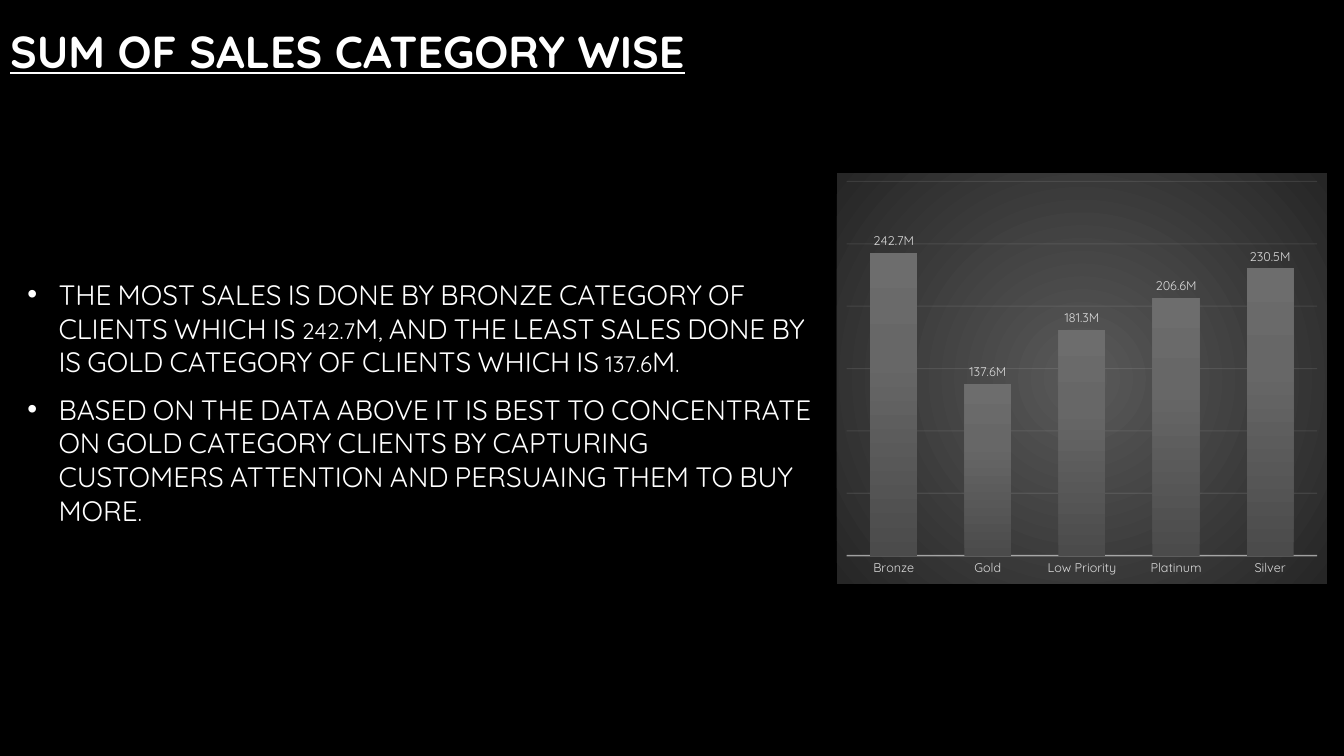
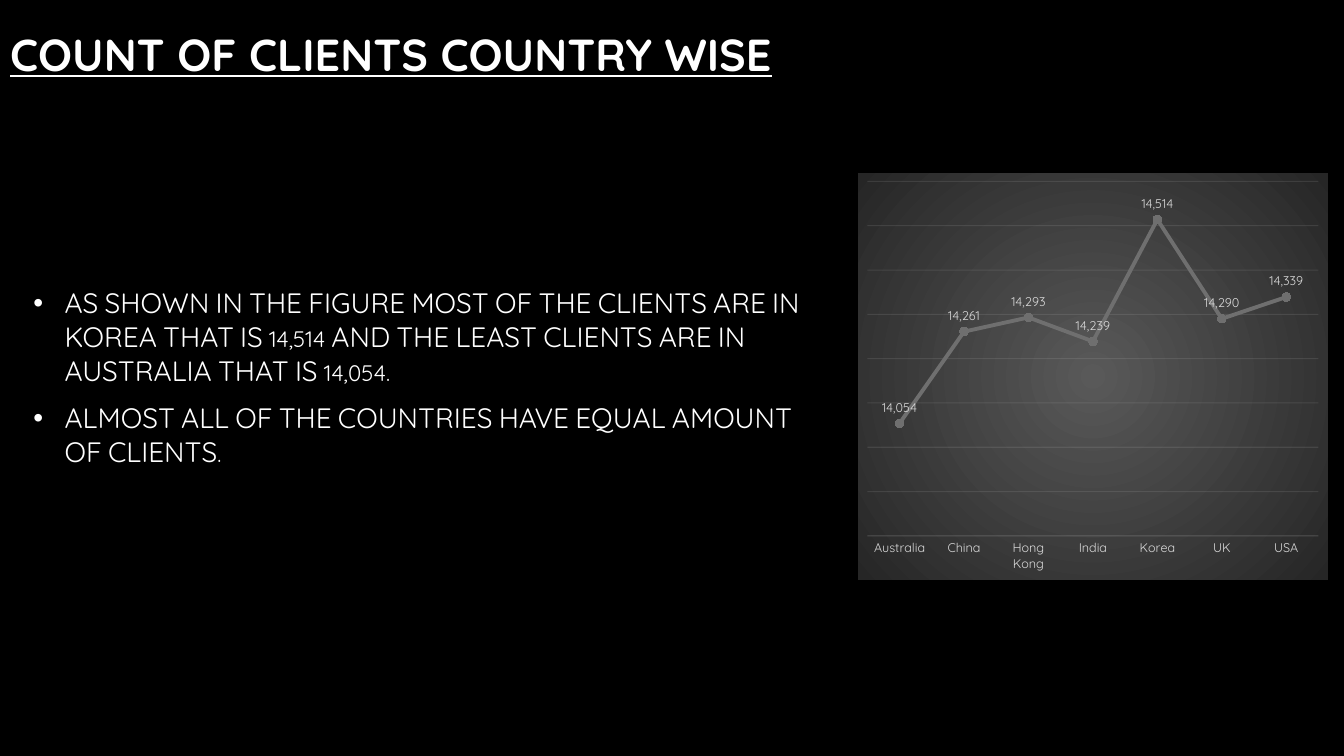
from lxml import etree
from pptx import Presentation
from pptx.chart.data import CategoryChartData
from pptx.dml.color import RGBColor
from pptx.enum.chart import XL_CHART_TYPE as ChartType
from pptx.enum.chart import XL_LABEL_POSITION as LabelPos
from pptx.enum.chart import XL_MARKER_STYLE as Marker
from pptx.enum.chart import XL_TICK_MARK as Tick
from pptx.enum.text import MSO_ANCHOR as Anchor
from pptx.enum.text import MSO_AUTO_SIZE as AutoSize
from pptx.enum.text import PP_ALIGN as Align
from pptx.oxml.ns import qn
from pptx.util import Inches, Pt

W, H = Inches(13.33), Inches(7.5)
FONT = "Quicksand"
BLACK = RGBColor(0x00, 0x00, 0x00)
WHITE = RGBColor(0xFF, 0xFF, 0xFF)
LABEL = RGBColor(0xD9, 0xD9, 0xD9)
GRID = RGBColor(0xF2, 0xF2, 0xF2)
LINE = RGBColor(0x6F, 0x6F, 0x6F)
DOT = RGBColor(0x67, 0x67, 0x67)
PANEL_STOPS = [(0, RGBColor(0x59, 0x59, 0x59)), (100, RGBColor(0x26, 0x26, 0x26))]
BAR_STOPS = [(0, RGBColor(0x4B, 0x4B, 0x4B)), (65, DOT), (100, RGBColor(0x6D, 0x6D, 0x6D))]


def box(left, top, width, height):
    return [int(share * full / 100) for share, full in zip((left, top, width, height), (W, H, W, H))]


def place(sp, area):
    sp.left, sp.top, sp.width, sp.height = area
    tf = sp.text_frame
    tf.word_wrap = True
    tf.auto_size = AutoSize.NONE
    tf.vertical_anchor = Anchor.MIDDLE
    return tf


def style_font(font, size, color, bold=None, underline=None):
    font.name, font.size = FONT, Pt(size)
    font.bold, font.underline = bold, underline
    font.color.rgb = color


def write(p, text, size, color=WHITE, small_caps=False, **style):
    p.alignment = Align.LEFT
    r = p.add_run()
    r.text = text
    style_font(r.font, size, color, **style)
    if small_caps:
        r.font._element.set("cap", "small")


def add_bullet(p, text):
    pPr = p._p.get_or_add_pPr()
    pPr.set("marL", str(Inches(0.31)))
    pPr.set("indent", str(-Inches(0.31)))
    p.space_before, p.space_after = Pt(4), Pt(6)
    etree.SubElement(etree.SubElement(pPr, qn("a:buClr")), qn("a:srgbClr"), val=str(WHITE))
    etree.SubElement(pPr, qn("a:buFont"), typeface="Arial")
    etree.SubElement(pPr, qn("a:buChar"), char="•")
    write(p, text, 20, small_caps=True)


def gradient(stops, angle=None):
    grad = etree.Element(qn("a:gradFill"), rotWithShape="1")
    stop_list = etree.SubElement(grad, qn("a:gsLst"))
    for pos, color in stops:
        gs = etree.SubElement(stop_list, qn("a:gs"), pos=str(pos * 1000))
        etree.SubElement(gs, qn("a:srgbClr"), val=str(color))
    if angle is None:
        circle = etree.SubElement(grad, qn("a:path"), path="circle")
        etree.SubElement(circle, qn("a:fillToRect"), dict.fromkeys("ltrb", "50000"))
    else:
        etree.SubElement(grad, qn("a:lin"), ang=str(angle * 60000), scaled="0")
    return grad


def style_line(line, color, width, alpha=100):
    line.color.rgb = color
    line.width = Pt(width)
    if alpha < 100:
        clr = line._get_or_add_ln().find(".//" + qn("a:srgbClr"))
        etree.SubElement(clr, qn("a:alpha"), val=str(alpha * 1000))


def fill_panel(chart):
    spPr = etree.Element(qn("c:spPr"))
    spPr.append(gradient(PANEL_STOPS))
    etree.SubElement(etree.SubElement(spPr, qn("a:ln")), qn("a:noFill"))
    chart._chartSpace.find(qn("c:txPr")).addprevious(spPr)


def style_axes(chart, low, high, step, axis_line):
    cat, val = chart.category_axis, chart.value_axis
    cat.major_tick_mark = cat.minor_tick_mark = Tick.NONE
    cat.has_major_gridlines = False
    style_font(cat.tick_labels.font, 9, LABEL)
    style_line(cat.format.line, GRID, *axis_line)
    val.minimum_scale, val.maximum_scale, val.major_unit = low, high, step
    val.has_major_gridlines = True
    style_line(val.major_gridlines.format.line, GRID, 0.75, 10)
    val.visible = False


def add_chart(s, kind, area, values, scale, axis_line, number_format, label_pos):
    data = CategoryChartData()
    data.categories = list(values)
    data.add_series("Series 1", list(values.values()))
    chart = s.shapes.add_chart(kind, *area, data).chart
    chart.has_legend = chart.has_title = False
    style_font(chart.font, 10, WHITE)
    fill_panel(chart)
    style_axes(chart, *scale, axis_line)
    plot = chart.plots[0]
    plot.vary_by_categories = False
    plot.has_data_labels = True
    labels = plot.data_labels
    labels.show_value = True
    labels.number_format, labels.number_format_is_linked = number_format, False
    labels.position = label_pos
    style_font(labels.font, 9, LABEL)
    return plot


def add_column_chart(s, area, values):
    plot = add_chart(s, ChartType.COLUMN_CLUSTERED, area, values, (0, 300000000, 50000000),
                     (1, 54), '0.0,,"M"', LabelPos.OUTSIDE_END)
    plot.gap_width, plot.overlap = 100, -24
    bars = plot.series[0]
    bars.format.fill.solid()
    solid = bars._element.find(qn("c:spPr")).find(qn("a:solidFill"))
    solid.getparent().replace(solid, gradient(BAR_STOPS, 270))


def add_line_chart(s, area, values):
    plot = add_chart(s, ChartType.LINE_MARKERS, area, values, (13800, 14600, 100),
                     (0.75, 10), "#,##0", LabelPos.ABOVE)
    line = plot.series[0]
    line.smooth = False
    style_line(line.format.line, LINE, 2.75)
    line.marker.style, line.marker.size = Marker.CIRCLE, 6
    line.marker.format.fill.solid()
    line.marker.format.fill.fore_color.rgb = DOT
    line.marker.format.line.fill.background()


def add_text_slide(prs, title, title_height, bullets, body_area):
    s = prs.slides.add_slide(prs.slide_layouts[1])
    tf = place(s.shapes.title, box(0, 0, 81.25, title_height))
    write(tf.paragraphs[0], title, 32, bold=True, underline=True)
    tf = place(s.placeholders[1], body_area)
    for i, text in enumerate(bullets):
        add_bullet(tf.add_paragraph() if i else tf.paragraphs[0], text)
    return s


def main():
    prs = Presentation()
    prs.slide_width, prs.slide_height = W, H
    fill = prs.slide_master.background.fill
    fill.solid()
    fill.fore_color.rgb = BLACK

    s = add_text_slide(prs, "SUM OF SALES CATEGORY WISE", 13.33, [
        "THE MOST SALES IS DONE BY BRONZE CATEGORY OF CLIENTS WHICH IS 242.7M, "
        "AND THE LEAST SALES DONE BY IS GOLD CATEGORY OF CLIENTS WHICH IS 137.6M.",
        "BASED ON THE DATA ABOVE IT IS BEST TO CONCENTRATE ON GOLD CATEGORY CLIENTS "
        "BY CAPTURING CUSTOMERS ATTENTION AND PERSUAING THEM TO BUY MORE.",
    ], box(1.28, 13.33, 60.16, 79.73))
    add_column_chart(s, box(62.27, 22.93, 36.46, 54.27), {
        "Bronze": 242700000, "Gold": 137600000, "Low Priority": 181300000,
        "Platinum": 206600000, "Silver": 230500000,
    })

    s = add_text_slide(prs, "COUNT OF CLIENTS COUNTRY WISE", 14.13, [
        "AS SHOWN IN THE FIGURE MOST OF THE CLIENTS ARE IN KOREA THAT IS 14,514 "
        "AND THE LEAST CLIENTS ARE IN AUSTRALIA THAT IS 14,054.",
        "ALMOST ALL OF THE COUNTRIES HAVE EQUAL AMOUNT OF CLIENTS.",
    ], box(1.73, 14.13, 60.84, 71.47))
    add_line_chart(s, box(63.84, 22.93, 34.96, 53.73), {
        "Australia": 14054, "China": 14261, "Hong Kong": 14293, "India": 14239,
        "Korea": 14514, "UK": 14290, "USA": 14339,
    })
    prs.save("out.pptx")


if __name__ == "__main__":
    main()
